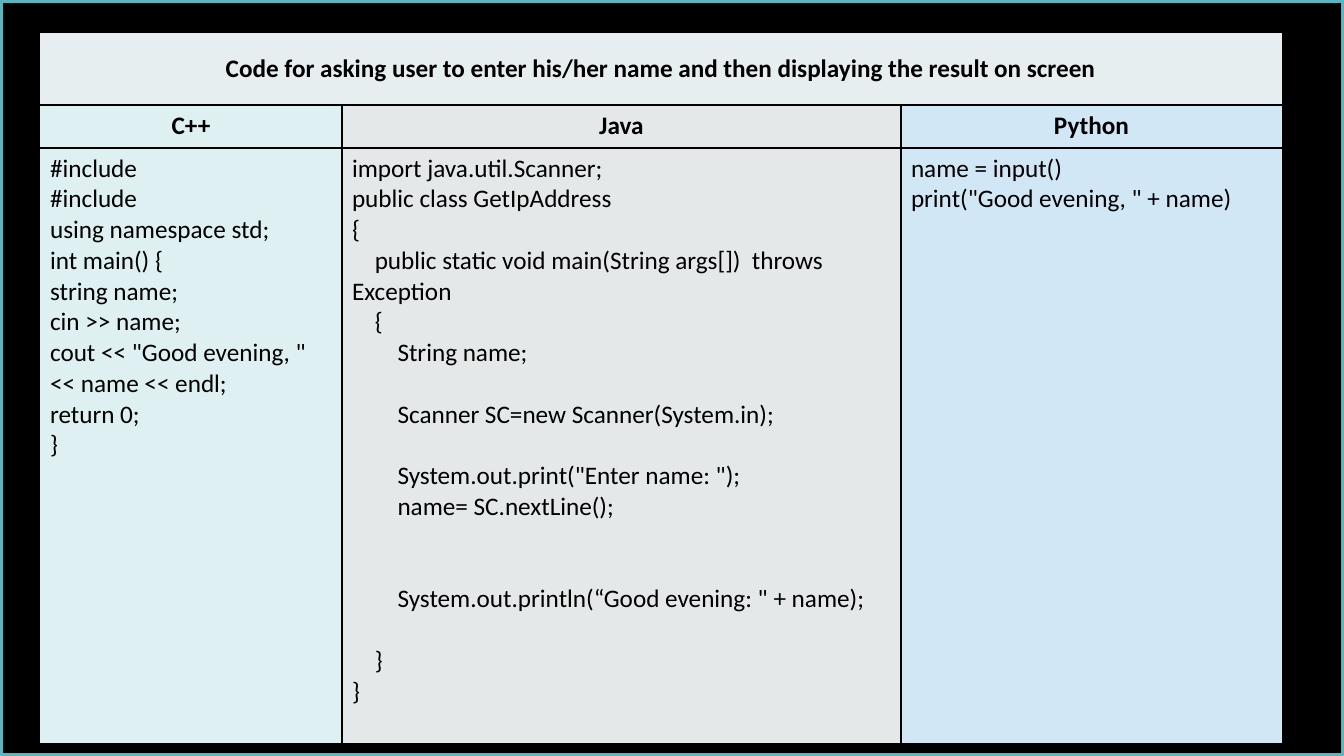
import pptx
import pptx.util
import pptx.dml.color
import pptx.enum.shapes
import pptx.enum.text
import pptx.oxml
import pptx.oxml.ns

PX = 914400 / 100.8
INK = "000000"
TITLE = "Code for asking user to enter his/her name and then displaying the result on screen"
HEADS = ["C++", "Java", "Python"]
FILLS = ["DEF0F2", "E4E8E8", "D1E7F6"]
COLS = [302, 559, 381]
ROWS = [72, 43, 595]

CPP = """#include
#include
using namespace std;
int main() {
string name;
cin >> name;
cout << "Good evening, " << name << endl;
return 0;
}"""

JAVA = """import java.util.Scanner;
public class GetIpAddress
{
    public static void main(String args[])  throws Exception
    {
        String name;

        Scanner SC=new Scanner(System.in);

        System.out.print("Enter name: ");
        name= SC.nextLine();


        System.out.println(“Good evening: " + name);

    }
}"""

PYTHON = """name = input()
print("Good evening, " + name)"""


def px(n):
    return pptx.util.Emu(round(n * PX))


def color(code):
    return pptx.dml.color.RGBColor.from_string(code)


class Deck:
    """Holds the text style and the current slide."""

    def __init__(self, show, font, size, line):
        self.font, self.size, self.line = font, size, line
        self.slide = show.slides.add_slide(show.slide_layouts[6])

    def back(self, code):
        fill = self.slide.background.fill
        fill.solid()
        fill.fore_color.rgb = color(code)

    def grid(self, left, top, cols, rows):
        shape = self.slide.shapes.add_table(
            len(rows), len(cols), px(left), px(top), px(sum(cols)), px(sum(rows)))
        table = shape.table
        table.first_row = table.horz_banding = False
        for col, width in zip(table.columns, cols):
            col.width = px(width)
        for row, height in zip(table.rows, rows):
            row.height = px(height)
        return table

    def edges(self, cell, sides):
        props = cell._tc.get_or_add_tcPr()
        for side in "LRTB":
            paint = "<a:noFill/>"
            if side in sides:
                paint = f'<a:solidFill><a:srgbClr val="{INK}"/></a:solidFill>'
            props.append(pptx.oxml.parse_xml(
                f'<a:ln{side} {pptx.oxml.ns.nsdecls("a")} w="12700">{paint}</a:ln{side}>'))

    def fill(self, cell, code):
        cell.fill.solid()
        cell.fill.fore_color.rgb = color(code)

    def label(self, cell, text, head=False):
        """Sets the lines, turning each empty line into space before the next."""
        lines, gaps, gap = [], [], 0
        for line in text.split("\n"):
            if not line:
                gap += self.line
                continue
            lines.append(line)
            gaps.append(gap)
            gap = 0
        cell.text_frame.text = "\n".join(lines)
        align = pptx.enum.text.PP_ALIGN
        for para, gap in zip(cell.text_frame.paragraphs, gaps):
            para.alignment = align.CENTER if head else align.LEFT
            if gap:
                para.space_before = pptx.util.Pt(gap)
            for run in para.runs:
                run.font.name = self.font
                run.font.size = pptx.util.Pt(self.size)
                run.font.bold = head
                run.font.color.rgb = color(INK)

    def frame(self, width, height, code, weight):
        box = self.slide.shapes.add_shape(
            pptx.enum.shapes.MSO_SHAPE.RECTANGLE, 0, 0, px(width), px(height))
        box.shadow.inherit = False
        box.fill.background()
        box.line.color.rgb = color(code)
        box.line.width = pptx.util.Pt(weight)


def main():
    show = pptx.Presentation()
    show.slide_width, show.slide_height = px(1344), px(756)
    deck = Deck(show, "Calibri", 18, 22)
    deck.back(INK)
    table = deck.grid(40, 33, COLS, ROWS)

    title = table.cell(0, 0)
    title.merge(table.cell(0, 2))
    for c in range(3):
        deck.edges(table.cell(0, c), "B")
    deck.fill(title, "E6EEF0")
    deck.label(title, TITLE, head=True)
    title.vertical_anchor = pptx.enum.text.MSO_ANCHOR.MIDDLE

    sides = ["R", "LR", "L"]
    for c, (name, code) in enumerate(zip(HEADS, [CPP, JAVA, PYTHON])):
        for r, text in enumerate([name, code], 1):
            cell = table.cell(r, c)
            deck.edges(cell, sides[c] + ("TB" if r == 1 else "T"))
            deck.fill(cell, FILLS[c])
            deck.label(cell, text, head=r == 1)

    deck.frame(1344, 756, "58B6C0", 4)
    show.save("out.pptx")


if __name__ == "__main__":
    main()
